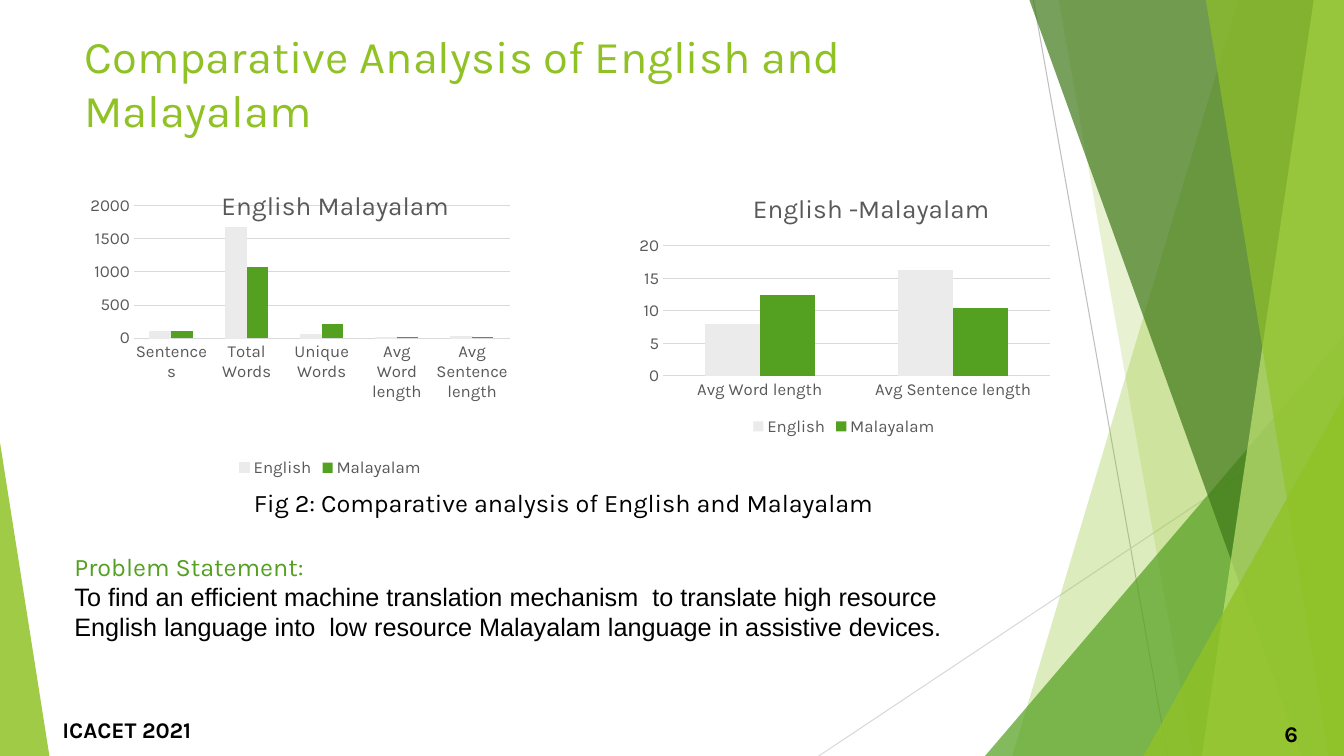
"""Build the slide comparing English and Malayalam corpus statistics."""
from lxml import etree
from pptx import Presentation
from pptx.chart.data import CategoryChartData
from pptx.dml.color import RGBColor
from pptx.enum.chart import XL_CHART_TYPE, XL_LEGEND_POSITION, XL_TICK_MARK
from pptx.enum.shapes import MSO_CONNECTOR, MSO_SHAPE
from pptx.enum.text import MSO_ANCHOR, PP_ALIGN
from pptx.oxml.ns import qn
from pptx.util import Inches, Pt

COLUMNS = XL_CHART_TYPE.COLUMN_CLUSTERED
LEGEND_BOTTOM = XL_LEGEND_POSITION.BOTTOM
NO_TICK = XL_TICK_MARK.NONE
STRAIGHT = MSO_CONNECTOR.STRAIGHT
TRIANGLE = MSO_SHAPE.ISOSCELES_TRIANGLE
TOP, MIDDLE = MSO_ANCHOR.TOP, MSO_ANCHOR.MIDDLE
LEFT, RIGHT = PP_ALIGN.LEFT, PP_ALIGN.RIGHT

LIME, GREEN, BLACK, GREY = "90C226", "54A021", "000000", "595959"
PALE, GRID = "EBEBEB", "D9D9D9"


def paint(target, color, alpha=100):
    """Give a fill a solid colour with an opacity in percent."""
    target.solid()
    target.fore_color.rgb = RGBColor.from_string(color)
    if alpha < 100:
        tint = target._xPr.find(".//" + qn("a:srgbClr"))
        etree.SubElement(tint, qn("a:alpha"), val=str(alpha * 1000))


def place(parent, position, **values):
    """Set the manual layout of a chart part, as fractions of the chart."""
    for old in parent.findall(qn("c:layout")):
        parent.remove(old)
    layout = etree.Element(qn("c:layout"))
    manual = etree.SubElement(layout, qn("c:manualLayout"))
    for name, value in values.items():
        etree.SubElement(manual, qn("c:" + name), val=str(value))
    parent.insert(position, layout)


deck = Presentation()
deck.slide_width, deck.slide_height = Inches(13.33), Inches(7.5)
page = deck.slides.add_slide(deck.slide_layouts[6])
shapes = page.shapes

for x1, y1, x2, y2, color in [
    (10.25, 0, 11.58, 7.5, "BFBFBF"),
    (13.33, 4.03, 8.12, 7.5, GRID),
]:
    line = shapes.add_connector(STRAIGHT, Inches(x1), Inches(y1), Inches(x2), Inches(y2))
    line.line.width = Pt(0.75)
    paint(line.line.fill, color)
    etree.SubElement(line._element.spPr, qn("a:effectLst"))

# each facet runs from its top corner along the right edge to its bottom corner
facets = [
    ("band", 12.28, 10.04, LIME, 30),
    ("band", 10.5, 11.83, LIME, 20),
    ("triangle", (9.77, 3.33, 3.56, 4.17), 1, GREEN, 72),
    ("band", 10.21, 12.91, "3F7819", 70),
    ("band", 13.03, 11.92, "C0E474", 70),
    ("band", 11.96, 13.18, LIME, 65),
    ("triangle", (11.34, 3.93, 1.99, 3.57), 1, LIME, 80),
    ("triangle", (0, 4.39, 0.49, 3.11), 0, LIME, 85),
]
for kind, start, end, color, alpha in facets:
    if kind == "band":
        outline = shapes.build_freeform(Inches(start), 0)
        corners = [(13.33, 0), (13.33, 7.5), (end, 7.5)]
        outline.add_line_segments([(Inches(x), Inches(y)) for x, y in corners])
        facet = outline.convert_to_shape()
    else:
        facet = shapes.add_shape(TRIANGLE, *[Inches(v) for v in start])
        facet.adjustments[0] = end
    facet.shadow.inherit = False
    facet.line.fill.background()
    paint(facet.fill, color, alpha)

charts = [
    ("English Malayalam", (0.74, 1.6, 5.07, 3.18), (0.278, 0.07),
     (0.116, 0.139, 0.735, 0.413), (2000, 500),
     ["Sentences", "Total Words", "Unique Words", "Avg Word length", "Avg Sentence length"],
     [100, 1670, 50, 10, 20], [100, 1070, 210, 10, 10]),
    ("English -Malayalam", (6.25, 1.79, 4.24, 2.58), (0.276, 0.025),
     (0.077, 0.252, 0.905, 0.5), (20, 5),
     ["Avg Word length", "Avg Sentence length"],
     [8, 16.3], [12.4, 10.4]),
]
for title, frame, title_at, plot_at, scale, categories, english, malayalam in charts:
    data = CategoryChartData()
    data.categories = categories
    data.add_series("English", english)
    data.add_series("Malayalam", malayalam)
    chart = shapes.add_chart(COLUMNS, *[Inches(v) for v in frame], data).chart
    chart.font.name, chart.font.size = "Karla", Pt(12)
    chart.font.color.rgb = RGBColor.from_string(GREY)

    chart.has_title = True
    para = chart.chart_title.text_frame.paragraphs[0]
    para.text = title
    para.font.name, para.font.size, para.font.bold = "Karla", Pt(18.6), False
    para.font.color.rgb = RGBColor.from_string(GREY)
    place(chart.chart_title._element, 1, xMode="edge", yMode="edge",
          x=title_at[0], y=title_at[1])
    left, top, width, height = plot_at
    place(chart._chartSpace.chart.plotArea, 0, layoutTarget="inner", xMode="edge",
          yMode="edge", x=left, y=top, w=width, h=height)

    chart.has_legend = True
    chart.legend.position = LEGEND_BOTTOM
    chart.legend.include_in_layout = False
    for axis in (chart.category_axis, chart.value_axis):
        axis.major_tick_mark = axis.minor_tick_mark = NO_TICK
        axis.format.line.fill.background()
    values = chart.value_axis
    values.minimum_scale = 0
    values.maximum_scale, values.major_unit = scale
    values.major_gridlines.format.line.width = Pt(0.75)
    paint(values.major_gridlines.format.line.fill, GRID)

    plot = chart.plots[0]
    plot.gap_width, plot.overlap, plot.vary_by_categories = 150, 0, False
    for series, color in zip(plot.series, (PALE, GREEN)):
        paint(series.format.fill, color)
    if len(categories) > 2:
        plot.series[0].format.line.width = Pt(0.75)
        paint(plot.series[0].format.line.fill, PALE)

texts = [
    ((0.74, 0.23, 9.4, 0.68), TOP, LEFT, 32.4, False,
     [("Comparative Analysis of English and Malayalam", "Karla", LIME)]),
    ((0.52, 7.04, 6.89, 0.4), MIDDLE, LEFT, 16, True, [("ICACET 2021", "Karla", BLACK)]),
    ((12.22, 7.08, 0.75, 0.4), MIDDLE, RIGHT, 16, True, [("6", "Karla", BLACK)]),
    ((2.42, 4.79, 7.82, 0.4), TOP, LEFT, 18, False,
     [("Fig 2: Comparative analysis of English and Malayalam", "Karla", BLACK)]),
    ((0.64, 5.42, 9.4, 1.01), TOP, LEFT, 18, False,
     [("Problem Statement:", "Karla", GREEN),
      ("To find an efficient machine translation mechanism  to translate high resource "
       "English language into  low resource Malayalam language in assistive devices.",
       "Arial", BLACK)]),
]
for frame, anchor, align, size, bold, lines in texts:
    box = shapes.add_textbox(*[Inches(v) for v in frame])
    box.text_frame.word_wrap = True
    box.text_frame.vertical_anchor = anchor
    for index, (words, font, color) in enumerate(lines):
        para = box.text_frame.add_paragraph() if index else box.text_frame.paragraphs[0]
        para.text, para.alignment = words, align
        para.font.name, para.font.size, para.font.bold = font, Pt(size), bold
        para.font.color.rgb = RGBColor.from_string(color)

deck.save("out.pptx")
